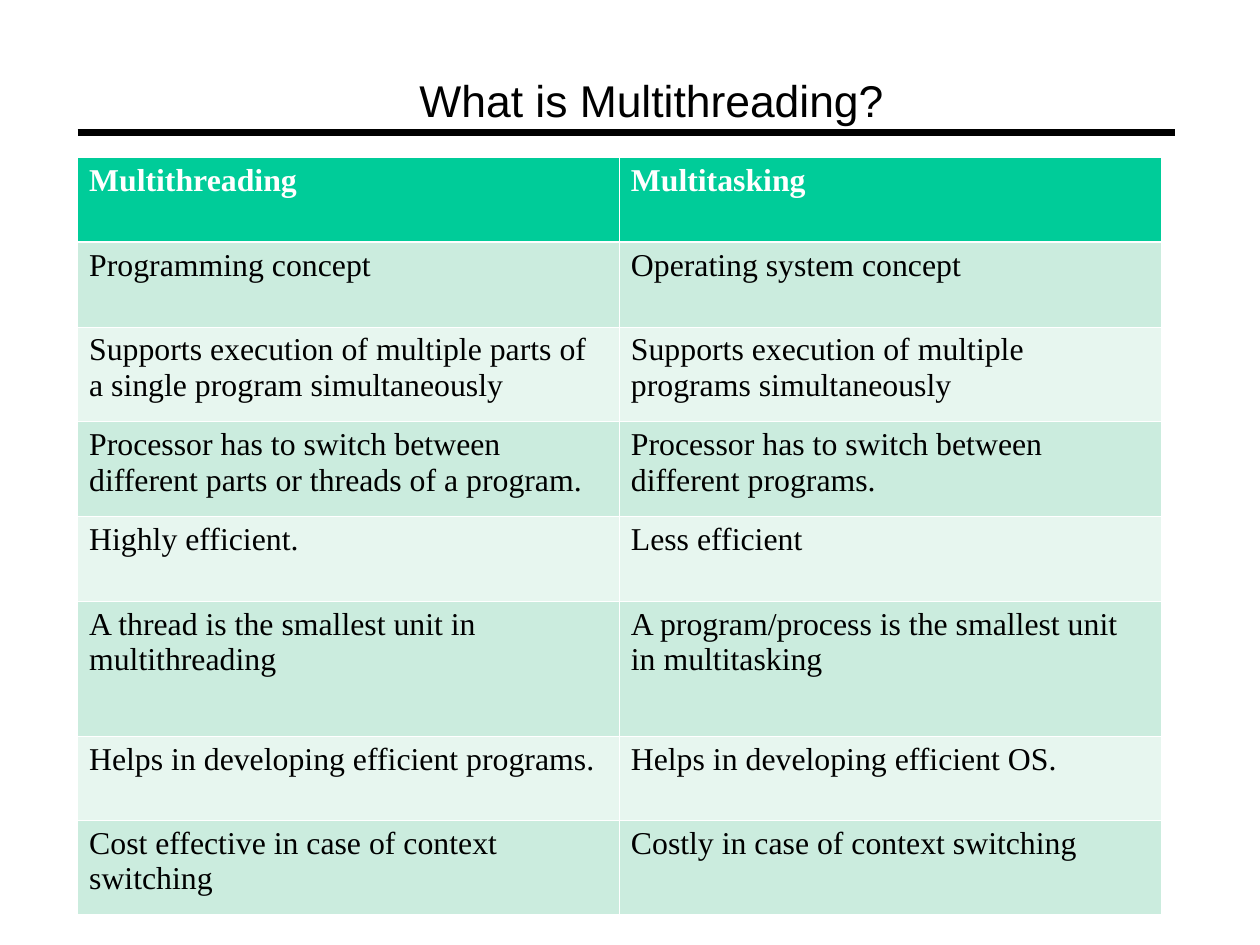
from dataclasses import dataclass

from lxml import etree
from pptx import Presentation
from pptx import util as u
from pptx.dml.color import RGBColor
from pptx.enum import shapes, text
from pptx.oxml import ns

WHITE, BLACK = "FFFFFF", "000000"
HEADER_FILL, BAND_FILLS = "00CC99", ("CBECDE", "E7F6EF")
LEFT, TABLE_TOP, COLUMN_WIDTH = 0.68, 1.38, 4.74
THIN, THICK = 0.45, 1.47


@dataclass
class Comparison:
    height: float
    threading: str
    tasking: str


COMPARISONS = [
    Comparison(0.74, "Multithreading", "Multitasking"),
    Comparison(0.74, "Programming concept", "Operating system concept"),
    Comparison(0.83, "Supports execution of multiple parts of a single program simultaneously",
               "Supports execution of multiple programs simultaneously"),
    Comparison(0.83, "Processor has to switch between different parts or threads of a program.",
               "Processor has to switch between different programs."),
    Comparison(0.74, "Highly efficient.", "Less efficient"),
    Comparison(1.18, "A thread is the smallest unit in multithreading",
               "A program/process is the smallest unit in multitasking"),
    Comparison(0.74, "Helps in developing efficient programs.", "Helps in developing efficient OS."),
    Comparison(0.82, "Cost effective in case of context switching",
               "Costly in case of context switching"),
]


def colour(value: str) -> RGBColor:
    return RGBColor.from_string(value)


def apply(target, values: dict) -> None:
    for name, value in values.items():
        setattr(target, name, value)


def write(para, words: str, ink: str, font: dict) -> None:
    span = para.add_run()
    span.text = words
    apply(span.font, font)
    span.font.color.rgb = colour(ink)


def add_title(slide) -> None:
    title = slide.shapes.title
    apply(title, {"left": u.Inches(3.67), "top": u.Inches(0.64),
                  "width": u.Inches(4.67), "height": u.Inches(0.47)})
    frame = title.text_frame
    apply(frame, {"margin_left": 0, "margin_top": 0, "margin_right": 0, "margin_bottom": 0,
                  "word_wrap": True, "auto_size": text.MSO_AUTO_SIZE.NONE,
                  "vertical_anchor": text.MSO_ANCHOR.MIDDLE})
    para = frame.paragraphs[0]
    apply(para, {"alignment": text.PP_ALIGN.LEFT, "space_before": u.Pt(0), "line_spacing": 1.0})
    write(para, "What is Multithreading?", BLACK,
          {"name": "Arial", "size": u.Pt(28), "bold": False})


def add_rule(slide) -> None:
    rule = slide.shapes.add_connector(shapes.MSO_CONNECTOR.STRAIGHT, u.Inches(LEFT),
                                      u.Inches(1.16), u.Inches(10.28), u.Inches(1.16))
    rule.line.color.rgb = colour(BLACK)
    rule.line.width = u.Pt(4.31)
    etree.SubElement(rule.element.spPr, ns.qn("a:effectLst"))


def set_borders(cell, row: int) -> None:
    widths = {"lnL": THIN, "lnR": THIN,
              "lnT": THICK if row == 1 else THIN,
              "lnB": THICK if row == 0 else THIN}
    properties = cell._tc.get_or_add_tcPr()
    for position, (tag, width) in enumerate(widths.items()):
        line = etree.Element(ns.qn(f"a:{tag}"), w=str(u.Pt(width)))
        fill = etree.SubElement(line, ns.qn("a:solidFill"))
        etree.SubElement(fill, ns.qn("a:srgbClr"), val=WHITE)
        properties.insert(position, line)


def fill_cell(cell, words: str, row: int) -> None:
    header = row == 0
    cell.fill.solid()
    cell.fill.fore_color.rgb = colour(HEADER_FILL if header else BAND_FILLS[(row - 1) % 2])
    set_borders(cell, row)
    write(cell.text_frame.paragraphs[0], words, WHITE if header else BLACK,
          {"name": "Times New Roman", "size": u.Pt(20), "bold": header})


def add_comparison_table(slide) -> None:
    height = sum(item.height for item in COMPARISONS)
    table = slide.shapes.add_table(len(COMPARISONS), 2, u.Inches(LEFT), u.Inches(TABLE_TOP),
                                   u.Inches(2 * COLUMN_WIDTH), u.Inches(height)).table
    for column in table.columns:
        column.width = u.Inches(COLUMN_WIDTH)
    for row, item in enumerate(COMPARISONS):
        table.rows[row].height = u.Inches(item.height)
        for column, words in enumerate((item.threading, item.tasking)):
            fill_cell(table.cell(row, column), words, row)


def main() -> None:
    deck = Presentation()
    apply(deck, {"slide_width": u.Cm(28), "slide_height": u.Cm(21)})
    deck.element.sldSz.attrib.pop("type", None)
    page = deck.slides.add_slide(deck.slide_layouts.get_by_name("Title Only"))
    add_rule(page)
    add_title(page)
    add_comparison_table(page)
    deck.save("out.pptx")


if __name__ == "__main__":
    main()
